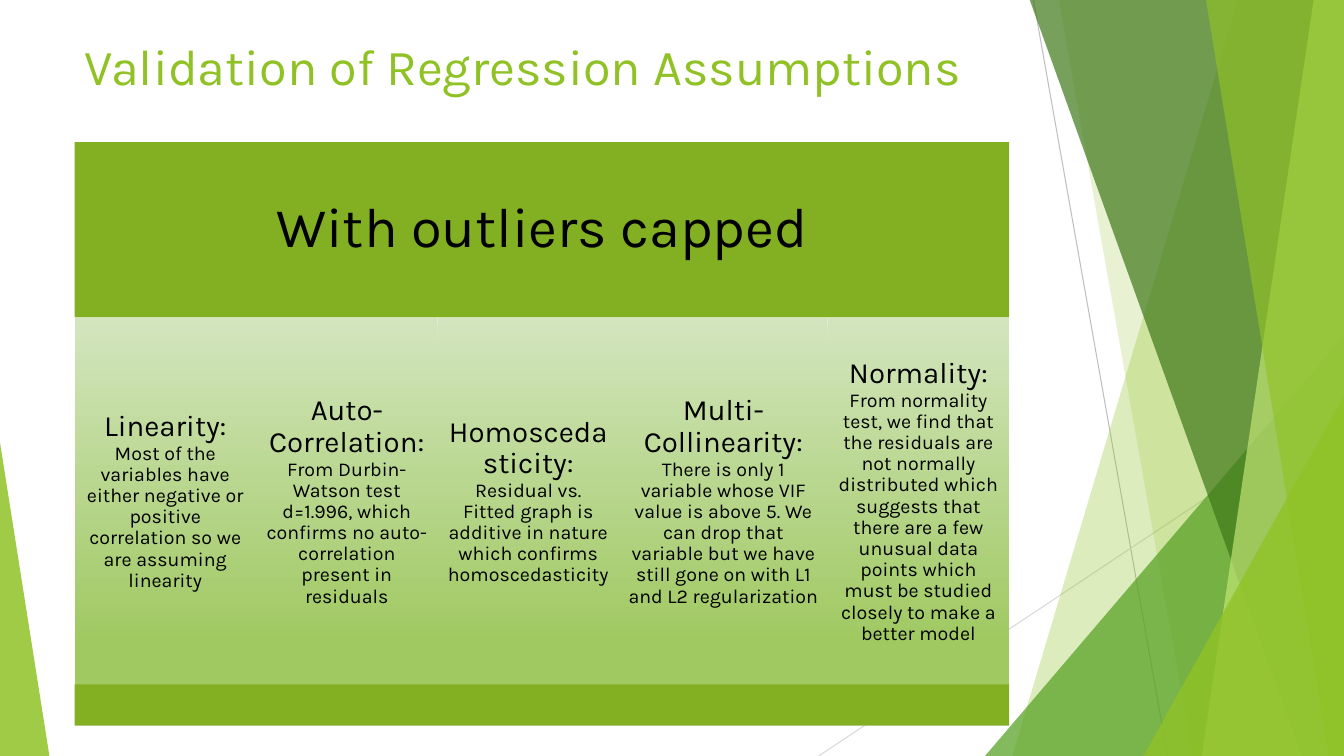
from dataclasses import dataclass

from lxml import etree
from pptx import Presentation
from pptx.dml.color import RGBColor
from pptx.enum.shapes import MSO_CONNECTOR, MSO_SHAPE
from pptx.enum.text import MSO_ANCHOR, PP_ALIGN
from pptx.oxml.ns import qn
from pptx.util import Inches, Pt

RECTANGLE = MSO_SHAPE.RECTANGLE
TRIANGLE = MSO_SHAPE.ISOSCELES_TRIANGLE
STRAIGHT = MSO_CONNECTOR.STRAIGHT
MIDDLE = MSO_ANCHOR.MIDDLE
CENTER = PP_ALIGN.CENTER

SLIDE_W, SLIDE_H = 13.33, 7.5
BLADE_TOP = -0.01
PANEL_LEFT, PANEL_W = 0.74, 9.27
HEADER_TOP, HEADER_H = 1.41, 1.74
COLUMN_TOP, COLUMN_H = HEADER_TOP + HEADER_H, 3.65
FOOTER_TOP, FOOTER_H = 6.79, 0.41


@dataclass(frozen=True)
class Theme:
    font: str = "Karla"
    lime: str = "90C226"
    green: str = "54A021"
    forest: str = "3F7819"
    pale: str = "C0E474"
    band: str = "83B022"
    column_top: str = "D3E5BE"
    column_bottom: str = "A0C962"
    text: str = "000000"
    ray_dark: str = "BFBFBF"
    ray_light: str = "D9D9D9"
    title_size: int = 36
    header_size: int = 40
    heading_size: int = 21
    body_size: int = 14


THEME = Theme()


@dataclass(frozen=True)
class Ray:
    x1: float
    y1: float
    x2: float
    y2: float
    color: str


@dataclass(frozen=True)
class Blade:
    top_x: float
    bottom_x: float
    color: str
    opacity: int


@dataclass(frozen=True)
class Corner:
    left: float
    top: float
    width: float
    apex: float
    color: str
    opacity: int


@dataclass(frozen=True)
class Assumption:
    heading: str
    body: str
    width: float = 1.8


RAYS = [
    Ray(10.25, 0, 11.58, SLIDE_H, THEME.ray_dark),
    Ray(SLIDE_W, 4.03, 8.12, SLIDE_H, THEME.ray_light),
]

FACETS = [
    Blade(12.28, 10.04, THEME.lime, 30),
    Blade(10.5, 11.83, THEME.lime, 20),
    Corner(9.77, 3.33, 3.56, 1, THEME.green, 72),
    Blade(10.21, 12.91, THEME.forest, 70),
    Blade(13.03, 11.92, THEME.pale, 70),
    Blade(11.96, 13.18, THEME.lime, 65),
    Corner(11.34, 3.93, 1.99, 1, THEME.lime, 80),
    Corner(0, 4.39, 0.49, 0, THEME.lime, 85),
]

ASSUMPTIONS = [
    Assumption("Linearity:", "Most of the variables have either negative or positive "
               "correlation so we are assuming linearity"),
    Assumption("Auto-Correlation:", "From Durbin-Watson test d=1.996, which confirms no "
               "auto-correlation present in residuals"),
    Assumption("Homoscedasticity:", "Residual vs. Fitted graph is additive in nature "
               "which confirms homoscedasticity"),
    Assumption("Multi-Collinearity:", "There is only 1 variable whose VIF value is above 5. "
               "We can drop that variable but we have still gone on with L1 and L2 "
               "regularization", 2.07),
    Assumption("Normality:", "From normality test, we find that the residuals are not "
               "normally distributed which suggests that there are a few unusual data "
               "points which must be studied closely to make a better model"),
]


def rgb(color: str) -> RGBColor:
    return RGBColor.from_string(color)


def style_solid(sp, color: str, opacity: int = 100) -> None:
    sp.shadow.inherit = False
    sp.line.fill.background()
    sp.fill.solid()
    sp.fill.fore_color.rgb = rgb(color)
    if opacity < 100:
        clr = sp._element.spPr.find(f"{qn('a:solidFill')}/{qn('a:srgbClr')}")
        etree.SubElement(clr, qn("a:alpha")).set("val", str(opacity * 1000))


def style_gradient(sp) -> None:
    sp.fill.gradient()
    sp.fill.gradient_angle = 270
    stops = ((0, THEME.column_top), (0.88, THEME.column_bottom))
    for stop, (position, color) in zip(sp.fill.gradient_stops, stops):
        stop.position = position
        stop.color.rgb = rgb(color)


def draw_ray(s, ray: Ray) -> None:
    line = s.shapes.add_connector(STRAIGHT, Inches(ray.x1), Inches(ray.y1),
                                  Inches(ray.x2), Inches(ray.y2))
    line.line.color.rgb = rgb(ray.color)
    line.line.width = Pt(0.75)
    etree.SubElement(line._element.spPr, qn("a:effectLst"))


def draw_blade(s, blade: Blade) -> None:
    builder = s.shapes.build_freeform(Inches(blade.top_x), Inches(BLADE_TOP))
    corners = [(SLIDE_W, BLADE_TOP), (SLIDE_W, SLIDE_H), (blade.bottom_x, SLIDE_H)]
    builder.add_line_segments([(Inches(x), Inches(y)) for x, y in corners])
    style_solid(builder.convert_to_shape(), blade.color, blade.opacity)


def draw_corner(s, corner: Corner) -> None:
    sp = s.shapes.add_shape(TRIANGLE, Inches(corner.left), Inches(corner.top),
                            Inches(corner.width), Inches(SLIDE_H - corner.top))
    sp.adjustments[0] = corner.apex
    style_solid(sp, corner.color, corner.opacity)


def draw_panel(s, left: float, top: float, width: float, height: float):
    sp = s.shapes.add_shape(RECTANGLE, Inches(left), Inches(top),
                            Inches(width), Inches(height))
    style_solid(sp, THEME.band)
    return sp


def centered_paragraph(sp, inset: float):
    tf = sp.text_frame
    tf.word_wrap = True
    tf.vertical_anchor = MIDDLE
    tf.margin_left = tf.margin_right = Inches(inset)
    tf.margin_top = tf.margin_bottom = Inches(inset)
    p = tf.paragraphs[0]
    p.alignment = CENTER
    p.line_spacing = 0.9
    p.font.name = THEME.font
    p.font.color.rgb = rgb(THEME.text)
    return p


def draw_title(s) -> None:
    tf = s.shapes.add_textbox(Inches(0.74), Inches(0.3), Inches(9.4), Inches(1.44)).text_frame
    tf.word_wrap = True
    p = tf.paragraphs[0]
    p.text = "Validation of Regression Assumptions"
    p.font.name = THEME.font
    p.font.size = Pt(THEME.title_size)
    p.font.color.rgb = rgb(THEME.lime)


def draw_assumption(s, left: float, item: Assumption) -> None:
    sp = draw_panel(s, left, COLUMN_TOP, item.width, COLUMN_H)
    style_gradient(sp)
    p = centered_paragraph(sp, 0.09)
    for text, size in ((f"{item.heading} ", THEME.heading_size), (item.body, THEME.body_size)):
        r = p.add_run()
        r.text = text
        r.font.size = Pt(size)


def main() -> None:
    prs = Presentation()
    prs.slide_width, prs.slide_height = Inches(SLIDE_W), Inches(SLIDE_H)
    s = prs.slides.add_slide(prs.slide_layouts[6])
    for ray in RAYS:
        draw_ray(s, ray)
    for facet in FACETS:
        if isinstance(facet, Blade):
            draw_blade(s, facet)
        else:
            draw_corner(s, facet)
    draw_title(s)
    p = centered_paragraph(draw_panel(s, PANEL_LEFT, HEADER_TOP, PANEL_W, HEADER_H), 0.17)
    p.text = "With outliers capped"
    p.font.size = Pt(THEME.header_size)
    left = PANEL_LEFT
    for item in ASSUMPTIONS:
        draw_assumption(s, left, item)
        left += item.width
    draw_panel(s, PANEL_LEFT, FOOTER_TOP, PANEL_W, FOOTER_H)
    prs.save("out.pptx")


if __name__ == "__main__":
    main()
